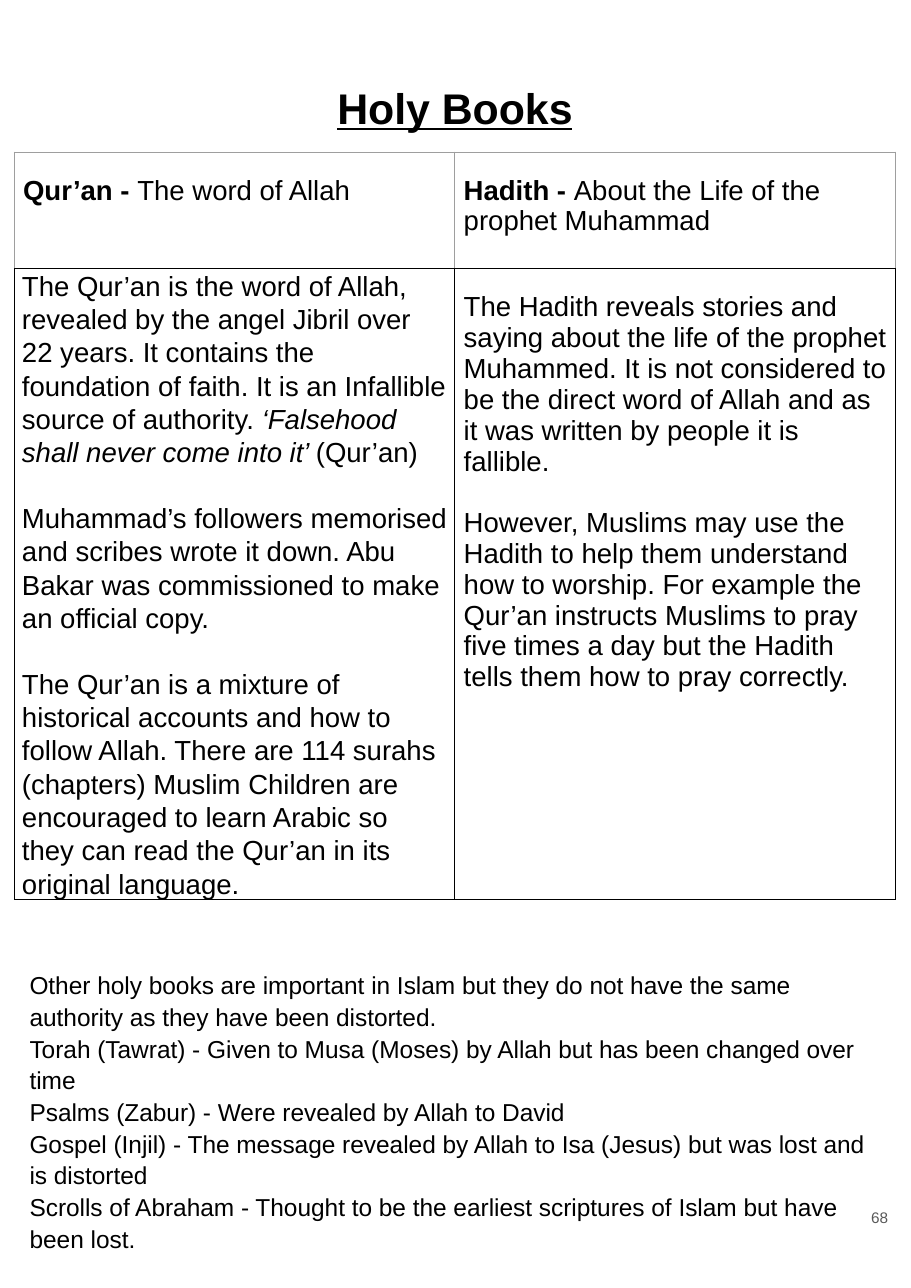
from dataclasses import dataclass

from lxml.etree import SubElement
from pptx import Presentation
from pptx.dml.color import RGBColor
from pptx.enum.text import MSO_ANCHOR, MSO_AUTO_SIZE, PP_ALIGN
from pptx.oxml.ns import qn
from pptx.slide import Slide
from pptx.table import _Cell
from pptx.text.text import TextFrame, _Paragraph
from pptx.util import Emu, Pt

EMU_PER_PX = 9144  # 100 px to the inch


def px(length: int) -> Emu:
    return Emu(length * EMU_PER_PX)


@dataclass(frozen=True)
class Theme:
    font: str = "Arial"
    ink: str = "000000"
    muted: str = "595959"
    header_rule: str = "9E9E9E"
    rule_pt: float = 0.75
    title_pt: int = 28
    table_pt: int = 18
    other_books_pt: int = 16
    number_pt: int = 10


THEME = Theme()


@dataclass(frozen=True)
class Span:
    text: str
    bold: bool = False
    italic: bool = False


@dataclass(frozen=True)
class Entry:
    paragraphs: list[list[Span]]
    margin_x: int = 8
    margin_y: int = 21
    line_spacing: float = 1.0
    gap_pt: float = 0
    border: str = THEME.ink
    bottom_border: str = THEME.ink


@dataclass(frozen=True)
class Caption:
    box: tuple[int, int, int, int]
    lines: list[str]
    size_pt: int
    color: str = THEME.ink
    align: PP_ALIGN = PP_ALIGN.LEFT
    line_spacing: float = 1.0
    margin_bottom: int = 10


def set_margins(frame: TextFrame | _Cell, left: int, top: int, right: int, bottom: int) -> None:
    frame.margin_left, frame.margin_top = px(left), px(top)
    frame.margin_right, frame.margin_bottom = px(right), px(bottom)


def style_paragraph(paragraph: _Paragraph, size_pt: int, color: str,
                    align: PP_ALIGN, line_spacing: float) -> None:
    paragraph.alignment = align
    paragraph.line_spacing = line_spacing
    paragraph.space_before = paragraph.space_after = Pt(0)
    for run in paragraph.runs:
        run.font.name = THEME.font
        run.font.size = Pt(size_pt)
        run.font.color.rgb = RGBColor.from_string(color)


def draw_borders(cell: _Cell, entry: Entry) -> None:
    properties = cell._tc.get_or_add_tcPr()
    for side in ("lnL", "lnR", "lnT", "lnB"):
        color = entry.bottom_border if side == "lnB" else entry.border
        line = SubElement(properties, qn(f"a:{side}"), w=str(Pt(THEME.rule_pt)))
        SubElement(SubElement(line, qn("a:solidFill")), qn("a:srgbClr"), val=color)


def fill_cell(cell: _Cell, entry: Entry) -> None:
    set_margins(cell, entry.margin_x, entry.margin_y, entry.margin_x, entry.margin_y)
    cell.vertical_anchor = MSO_ANCHOR.TOP
    draw_borders(cell, entry)
    cell.fill.background()
    for index, spans in enumerate(entry.paragraphs):
        frame = cell.text_frame
        paragraph = frame.add_paragraph() if index else frame.paragraphs[0]
        for span in spans:
            run = paragraph.add_run()
            run.text = span.text
            run.font.bold, run.font.italic = span.bold, span.italic
        style_paragraph(paragraph, THEME.table_pt, THEME.ink, PP_ALIGN.LEFT, entry.line_spacing)
        if index:
            paragraph.space_before = Pt(entry.gap_pt)


def add_title(slide: Slide, text: str) -> None:
    title = slide.shapes.title
    title.left, title.top, title.width, title.height = map(px, (28, 64, 770, 130))
    frame = title.text_frame
    frame.text = text
    frame.auto_size = MSO_AUTO_SIZE.NONE
    frame.vertical_anchor = MSO_ANCHOR.TOP
    set_margins(frame, 10, 10, 10, 10)
    heading = frame.paragraphs[0]
    style_paragraph(heading, THEME.title_pt, THEME.ink, PP_ALIGN.CENTER, 1.0)
    heading.runs[0].font.bold = heading.runs[0].font.underline = True


def add_comparison(slide: Slide, rows: list[list[Entry]], heights: list[int]) -> None:
    column_width = 400
    frame = slide.shapes.add_table(len(rows), len(rows[0]), px(13), px(138),
                                   px(column_width * len(rows[0])), px(sum(heights)))
    comparison = frame.table
    comparison.first_row = comparison.horz_banding = False
    for column in comparison.columns:
        column.width = px(column_width)
    for r, (entries, height) in enumerate(zip(rows, heights)):
        comparison.rows[r].height = px(height)
        for c, entry in enumerate(entries):
            fill_cell(comparison.cell(r, c), entry)


def add_caption(slide: Slide, caption: Caption) -> None:
    frame = slide.shapes.add_textbox(*map(px, caption.box)).text_frame
    frame.word_wrap = True
    frame.vertical_anchor = MSO_ANCHOR.MIDDLE
    set_margins(frame, 10, 10, 10, caption.margin_bottom)
    frame.text = "\n".join(caption.lines)
    for paragraph in frame.paragraphs:
        style_paragraph(paragraph, caption.size_pt, caption.color,
                        caption.align, caption.line_spacing)


def header(book: str, meaning: str) -> Entry:
    return Entry([[Span(book, bold=True), Span(meaning)]], border=THEME.header_rule)


# Table content
QURAN = Entry(
    [
        [Span("The Qur’an is the word of Allah, revealed by the angel Jibril over 22 years. "
              "It contains the foundation of faith. It is an Infallible source of authority. "),
         Span("‘Falsehood shall never come into it’ ", italic=True),
         Span("(Qur’an)")],
        [Span("Muhammad’s followers memorised and scribes wrote it down. "
              "Abu Bakar was commissioned to make an official copy.")],
        [Span("The Qur’an is a mixture of historical accounts and how to follow Allah. "
              "There are 114 surahs (chapters) Muslim Children are encouraged to learn Arabic "
              "so they can read the Qur’an in its original language.")],
    ],
    margin_x=7, margin_y=0, line_spacing=1.08, gap_pt=21.4,
)
HADITH = Entry(
    [
        [Span("The Hadith reveals stories and saying about the life of the prophet Muhammed. "
              "It is not considered to be the direct word of Allah and as it was written by "
              "people it is fallible.")],
        [Span("However, Muslims may use the Hadith to help them understand how to worship. "
              "For example the Qur’an instructs Muslims to pray five times a day but the Hadith "
              "tells them how to pray correctly.")],
    ],
    gap_pt=20,
)
BOOKS = [
    [header("Qur’an - ", "The word of Allah"),
     header("Hadith - ", "About the Life of the prophet Muhammad")],
    [QURAN, HADITH],
]

# Text below the table
OTHER_BOOKS = Caption(
    (17, 798, 794, 445),
    [
        "Other holy books are important in Islam but they do not have the same authority "
        "as they have been distorted.",
        "Torah (Tawrat) - Given to Musa (Moses) by Allah but has been changed over time",
        "Psalms (Zabur) - Were revealed by Allah to David",
        "Gospel (Injil) - The message revealed by Allah to Isa (Jesus) but was lost and is distorted",
        "Scrolls of Abraham - Thought to be the earliest scriptures of Islam but have been lost.",
    ],
    THEME.other_books_pt, line_spacing=1.08, margin_bottom=35,
)
PAGE_NUMBER = Caption((766, 1060, 50, 89), ["68"], THEME.number_pt, THEME.muted, PP_ALIGN.RIGHT)


def main() -> None:
    deck = Presentation()
    deck.slide_width, deck.slide_height = px(827), px(1169)
    slide = deck.slides.add_slide(deck.slide_layouts[5])
    add_title(slide, "Holy Books")
    add_comparison(slide, BOOKS, [106, 568])
    for caption in (OTHER_BOOKS, PAGE_NUMBER):
        add_caption(slide, caption)
    deck.save("out.pptx")


if __name__ == "__main__":
    main()
